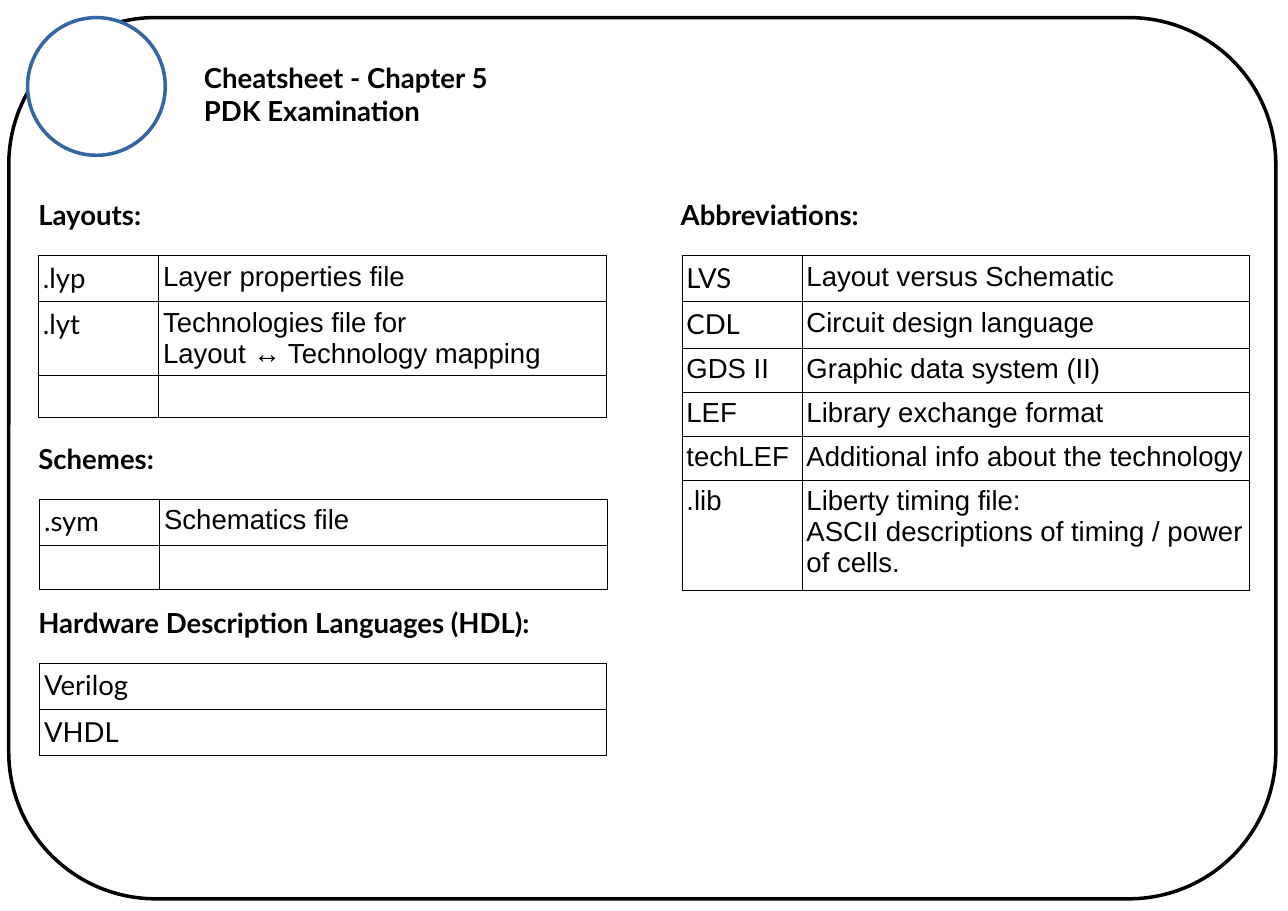
"""Build the one-page PDK examination cheatsheet."""
from lxml import etree
from pptx import Presentation
from pptx.dml.color import RGBColor
from pptx.enum.shapes import MSO_SHAPE
from pptx.enum.text import MSO_ANCHOR, MSO_AUTO_SIZE, PP_ALIGN
from pptx.oxml import parse_xml
from pptx.util import Inches, Pt

ROUND, OVAL = MSO_SHAPE.ROUNDED_RECTANGLE, MSO_SHAPE.OVAL
TOP, LEFT, FIXED = MSO_ANCHOR.TOP, PP_ALIGN.LEFT, MSO_AUTO_SIZE.NONE
COLORS = {"ink": "000000", "ring": "3465A4", "paper": "FFFFFF"}
SPACE = "http://schemas.openxmlformats.org/drawingml/2006/main"
INSET = {"margin_left": 0.04, "margin_right": 0.04, "margin_top": 0.05, "margin_bottom": 0.02}


def write(frame, text, face, bold=False):
    frame.text = text
    for line in frame.paragraphs:
        line.alignment = LEFT
        style = {"name": face, "size": Pt(18), "bold": bold}
        for key, value in style.items():
            setattr(line.font, key, value)
            for run in line.runs:
                setattr(run.font, key, value)
        for run in line.runs:
            run.font.color.rgb = RGBColor.from_string(COLORS["ink"])


def border(cell):
    props = cell.fill._xPr
    for spot, side in enumerate(("lnL", "lnR", "lnT", "lnB")):
        line = parse_xml(
            f'<a:{side} xmlns:a="{SPACE}" w="{Pt(0.57)}"><a:solidFill>'
            f'<a:srgbClr val="{COLORS["ink"]}"/></a:solidFill></a:{side}>')
        props.insert(spot, line)


deck = Presentation()
deck.slide_width, deck.slide_height = Inches(11.69), Inches(8.27)
slide = deck.slides.add_slide(deck.slide_layouts[5])
shapes = slide.shapes

title = shapes.title
title.left, title.top = Inches(1.75), Inches(0.5)
title.width, title.height = Inches(4), Inches(0.78)
frame = title.text_frame
frame.auto_size, frame.vertical_anchor, frame.word_wrap = FIXED, TOP, True
write(frame, "Cheatsheet - Chapter 5\nPDK Examination", "Lato", True)

outlines = [
    (ROUND, (0.08, 0.16, 11.5, 8), "ink", None),
    (OVAL, (0.25, 0.16, 1.25, 1.25), "ring", "paper"),
]
for kind, box, line, fill in outlines:
    shape = shapes.add_shape(kind, *map(Inches, box))
    shape.shadow.inherit = False
    shape.line.color.rgb = RGBColor.from_string(COLORS[line])
    shape.line.width = Pt(2.3)
    if fill:
        shape.fill.solid()
        shape.fill.fore_color.rgb = RGBColor.from_string(COLORS[fill])
    else:
        shape.fill.background()

heads = [
    ("Layouts:", 0.25, 1.75, 1.75),
    ("Schemes:", 0.25, 3.96, 1.75),
    ("Hardware Description Languages (HDL):", 0.25, 5.45, 5),
    ("Abbreviations:", 6.08, 1.75, 2.17),
]
for text, left, top, width in heads:
    box = shapes.add_textbox(*map(Inches, (left, top, width, 0.5)))
    box.text_frame.word_wrap = True
    write(box.text_frame, text, "Lato", True)

pair = (1.09, 4.06)
tables = [
    (0.35, 2.32, pair, [
        (0.42, ".lyp", "Layer properties file"),
        (0.66, ".lyt", "Technologies file for\nLayout ↔ Technology mapping"),
        (0.38, "", "")]),
    (0.36, 4.53, pair, [
        (0.42, ".sym", "Schematics file"),
        (0.4, "", "")]),
    (0.36, 6.02, (5.14,), [
        (0.42, "Verilog"),
        (0.42, "VHDL")]),
    (6.19, 2.32, pair, [
        (0.42, "LVS", "Layout versus Schematic"),
        (0.42, "CDL", "Circuit design language"),
        (0.4, "GDS II", "Graphic data system (II)"),
        (0.4, "LEF", "Library exchange format"),
        (0.4, "techLEF", "Additional info about the technology"),
        (1, ".lib", "Liberty timing file:\nASCII descriptions of timing / power of cells.")]),
]
for left, top, widths, rows in tables:
    size = (left, top, sum(widths), sum(row[0] for row in rows))
    grid = shapes.add_table(len(rows), len(widths), *map(Inches, size)).table
    grid.first_row = grid.horz_banding = False
    for col, width in zip(grid.columns, widths):
        col.width = Inches(width)
    for r, (height, *texts) in enumerate(rows):
        grid.rows[r].height = Inches(height)
        for c, text in enumerate(texts):
            cell = grid.cell(r, c)
            for key, value in INSET.items():
                setattr(cell, key, Inches(value))
            cell.fill.background()
            border(cell)
            write(cell.text_frame, text, "Lato" if c == 0 and r < 2 else "Arial")
            if not text:
                last = etree.SubElement(cell.text_frame.paragraphs[0]._p, f"{{{SPACE}}}endParaRPr", sz="1800")
                etree.SubElement(last, f"{{{SPACE}}}latin", typeface="Arial")

deck.save("out.pptx")
